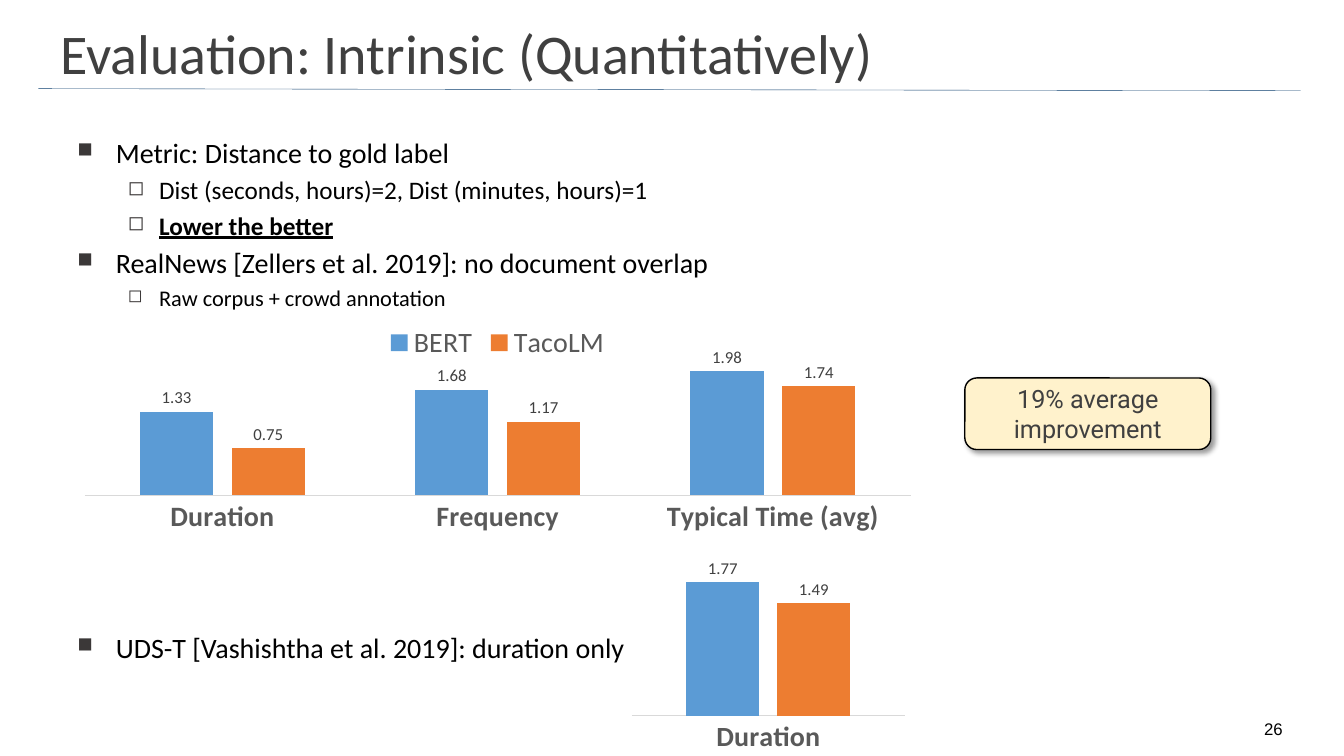
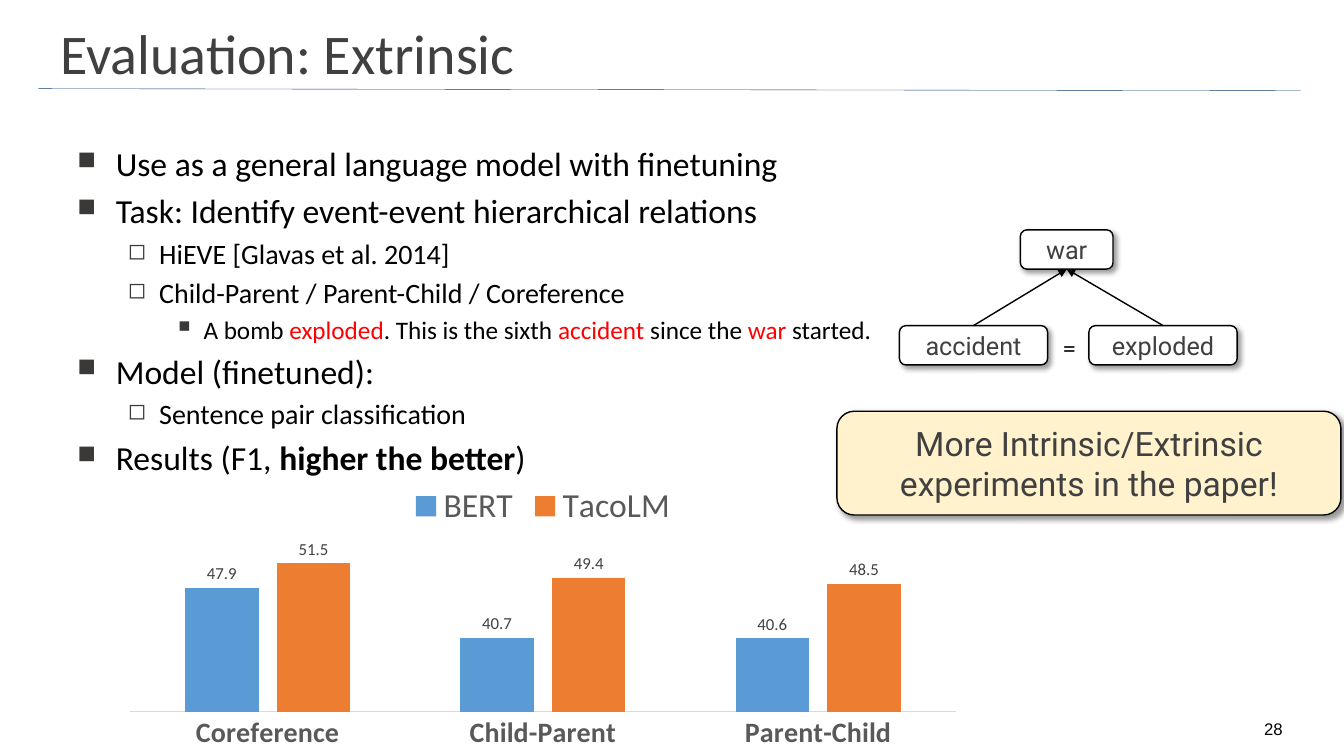
import lxml.etree
import pptx
import pptx.chart.data
import pptx.dml.color
import pptx.enum.chart
import pptx.enum.shapes
import pptx.enum.text
import pptx.oxml
import pptx.oxml.ns
import pptx.util

WIDTH = pptx.util.Inches(13.33)
HEIGHT = pptx.util.Inches(7.5)
TITLE_ONLY_LAYOUT = 5

BLACK, WHITE, RED = "000000", "FFFFFF", "FF0000"
DARK_GRAY, AXIS_GRAY, AXIS_LINE = "404040", "595959", "D9D9D9"
BULLET_GRAY, RULE_BLUE, CREAM = "3B3838", "093D6E", "FFF2CC"
SERIES_COLORS = ("5B9BD5", "ED7D31")

TITLE_FORMAT = {"name": "Calibri", "size": 40, "color": DARK_GRAY}
BODY_FORMAT = {"name": "Calibri", "color": BLACK}
BOX_FORMAT = {"name": "Roboto", "size": 18, "color": DARK_GRAY}
PAGE_FORMAT = {"name": "Arial", "size": 12, "color": BLACK}
CHART_FORMAT = {"name": "Calibri", "size": 10, "color": BLACK}
LABEL_FORMAT = {"name": "Calibri", "size": 12, "color": DARK_GRAY}
CATEGORY_FORMAT = {"name": "Calibri", "size": 20, "bold": True, "color": AXIS_GRAY}
LEGEND_FORMAT = {"name": "Calibri", "color": AXIS_GRAY}

# For each level: left margin and hanging indent in inches, sign, sign size in percent
BULLETS = ((0.38, 0.38, "■", 75), (0.81, 0.31, "◻", 80), (1.25, 0.25, "■", 65))

CENTER = pptx.enum.text.PP_ALIGN.CENTER
MIDDLE = pptx.enum.text.MSO_ANCHOR.MIDDLE
BOTTOM = pptx.enum.text.MSO_ANCHOR.BOTTOM


def across(percent):
    return round(WIDTH * percent / 100)


def down(percent):
    return round(HEIGHT * percent / 100)


def area(left, top, width, height):
    """Turn percentages of the slide into a position and size."""
    return across(left), down(top), across(width), down(height)


def rgb(code):
    return pptx.dml.color.RGBColor.from_string(code)


def format_font(font, values):
    for name, value in values.items():
        if name == "color":
            font.color.rgb = rgb(value)
        else:
            setattr(font, name, pptx.util.Pt(value) if name == "size" else value)


def format_line(line, color, points):
    line.color.rgb = rgb(color)
    line.width = pptx.util.Pt(points)


def add_element(parent, tag, **attributes):
    element = lxml.etree.SubElement(parent, pptx.oxml.ns.qn(tag))
    for name, value in attributes.items():
        element.set(name, str(value))
    return element


def write_text(shape, text, values, anchor=MIDDLE, alignment=CENTER):
    frame = shape.text_frame
    frame.word_wrap = True
    frame.vertical_anchor = anchor
    paragraph = frame.paragraphs[0]
    paragraph.alignment = alignment
    run = paragraph.add_run()
    run.text = text
    format_font(run.font, values)


def add_line(slide, start, end, color, points):
    line = slide.shapes.add_connector(
        pptx.enum.shapes.MSO_CONNECTOR.STRAIGHT,
        across(start[0]), down(start[1]), across(end[0]), down(end[1]))
    format_line(line.line, color, points)
    add_element(line._element.spPr, "a:effectLst")
    return line


def add_slide(presentation, title, number):
    """Add a slide with the shared title, rule and page number."""
    slide = presentation.slides.add_slide(presentation.slide_layouts[TITLE_ONLY_LAYOUT])
    add_line(slide, (2.85, 11.73), (96.77, 12), RULE_BLUE, 0.25)
    heading = slide.shapes.title
    heading.left, heading.top, heading.width, heading.height = area(3.75, 3.07, 81.1, 7.73)
    heading.text_frame.auto_size = pptx.enum.text.MSO_AUTO_SIZE.NONE
    write_text(heading, title, TITLE_FORMAT, alignment=pptx.enum.text.PP_ALIGN.LEFT)
    page = slide.shapes.add_textbox(*area(92.65, 95.07, 4.2, 3.33))
    write_text(page, str(number), PAGE_FORMAT, BOTTOM)
    return slide


def add_bullet(paragraph, level):
    margin, hanging, sign, percent = BULLETS[level]
    properties = paragraph._p.get_or_add_pPr()
    properties.set("marL", str(pptx.util.Inches(margin)))
    properties.set("indent", str(-pptx.util.Inches(hanging)))
    color = add_element(properties, "a:buClr")
    add_element(color, "a:srgbClr", val=BULLET_GRAY)
    add_element(properties, "a:buSzPct", val=percent * 1000)
    add_element(properties, "a:buChar", char=sign)


def add_bullets(slide, place, items):
    """Each item is a level, a text size and runs of (text, extra format)."""
    frame = slide.shapes.add_textbox(*area(*place)).text_frame
    frame.word_wrap = True
    for index, (level, size, *runs) in enumerate(items):
        paragraph = frame.add_paragraph() if index else frame.paragraphs[0]
        paragraph.level = level
        paragraph.space_before = pptx.util.Pt(0.2 * size if index else 0)
        add_bullet(paragraph, level)
        for text, extra in runs:
            run = paragraph.add_run()
            run.text = text
            format_font(run.font, {**BODY_FORMAT, "size": size, **extra})


def add_shadow(shape):
    effects = add_element(shape._element.spPr, "a:effectLst")
    shadow = add_element(effects, "a:outerShdw", blurRad=pptx.util.Pt(4),
                         dist=pptx.util.Pt(3), dir=45 * 60000, algn="tl", rotWithShape=0)
    color = add_element(shadow, "a:srgbClr", val=BLACK)
    add_element(color, "a:alpha", val=40000)


def add_box(slide, place, text, fill=WHITE, size=18):
    box = slide.shapes.add_shape(
        pptx.enum.shapes.MSO_SHAPE.ROUNDED_RECTANGLE, *area(*place))
    box.fill.solid()
    box.fill.fore_color.rgb = rgb(fill)
    format_line(box.line, BLACK, 1)
    add_shadow(box)
    write_text(box, text, {**BOX_FORMAT, "size": size})
    return box


def add_arrow(slide, child, parent):
    """Join the top of the child to the bottom of the parent."""
    arrow = add_line(slide, (0, 0), (0, 0), BLACK, 1)
    arrow.begin_connect(child, 0)
    arrow.end_connect(parent, 2)
    add_element(arrow.line._get_or_add_ln(), "a:tailEnd", type="triangle")


def add_column_chart(slide, place, categories, series, scale, number_format, legend_size=None):
    data = pptx.chart.data.CategoryChartData(number_format=number_format)
    data.categories = categories
    for name, values in series.items():
        data.add_series(name, values)
    chart = slide.shapes.add_chart(
        pptx.enum.chart.XL_CHART_TYPE.COLUMN_CLUSTERED, *area(*place), data).chart
    format_font(chart.font, CHART_FORMAT)
    chart.has_title = False
    chart.has_legend = legend_size is not None
    if chart.has_legend:
        chart.legend.position = pptx.enum.chart.XL_LEGEND_POSITION.TOP
        chart.legend.include_in_layout = False
        format_font(chart.legend.font, {**LEGEND_FORMAT, "size": legend_size})

    chart.value_axis.visible = False
    chart.value_axis.has_major_gridlines = False
    for name, value in scale.items():
        setattr(chart.value_axis, name, value)
    axis = chart.category_axis
    axis.major_tick_mark = pptx.enum.chart.XL_TICK_MARK.NONE
    format_font(axis.tick_labels.font, CATEGORY_FORMAT)
    format_line(axis.format.line, AXIS_LINE, 0.75)

    plot = chart.plots[0]
    plot.gap_width, plot.overlap, plot.vary_by_categories = 150, -25, False
    for columns, color in zip(plot.series, SERIES_COLORS):
        columns.format.fill.solid()
        columns.format.fill.fore_color.rgb = rgb(color)
        labels = columns.data_labels
        labels.show_value = True
        labels.position = pptx.enum.chart.XL_LABEL_POSITION.OUTSIDE_END
        format_font(labels.font, LABEL_FORMAT)


def build_intrinsic(presentation):
    slide = add_slide(presentation, "Evaluation: Intrinsic (Quantitatively)", 26)
    add_bullets(slide, (5.03, 17.33, 90, 24), [
        (0, 20, ("Metric: Distance to gold label", {})),
        (1, 18, ("Dist (seconds, hours)=2, Dist (minutes, hours)=1", {})),
        (1, 18, ("Lower the better", {"bold": True, "underline": True})),
        (0, 20, ("RealNews [Zellers et al. 2019]: no document overlap", {})),
        (1, 16, ("Raw corpus + crowd annotation", {})),
    ])
    add_bullets(slide, (5.03, 82.8, 45, 6), [
        (0, 20, ("UDS-T [Vashishtha et al. 2019]: duration only", {})),
    ])
    scale = {"minimum_scale": 0, "maximum_scale": 2}
    add_column_chart(
        slide, (5.03, 41.33, 64, 29.87), ["Duration", "Frequency", "Typical Time (avg)"],
        {"BERT": (1.33, 1.68, 1.98), "TacoLM": (0.75, 1.17, 1.74)}, scale, "0.00", 20)
    add_column_chart(
        slide, (46.59, 73.87, 21.16, 26.4), ["Duration"],
        {"Series 1": (1.77,), "Series 2": (1.49,)}, scale, "0.00")
    add_box(slide, (71.79, 50, 18.3, 9.47), "19% average improvement", CREAM)


def build_extrinsic(presentation):
    slide = add_slide(presentation, "Evaluation: Extrinsic", 28)
    event = {"color": RED}
    add_bullets(slide, (5.03, 18.27, 90, 46), [
        (0, 24, ("Use as a general language model with finetuning", {})),
        (0, 24, ("Task: Identify event-event hierarchical relations", {})),
        (1, 20, ("HiEVE [Glavas et al. 2014]", {})),
        (1, 20, ("Child-Parent / Parent-Child / Coreference", {})),
        (2, 18, ("A bomb ", {}), ("exploded", event), (". This is the sixth ", {}),
         ("accident", event), (" since the ", {}), ("war", event), (" started.", {})),
        (0, 24, ("Model (finetuned):", {})),
        (1, 20, ("Sentence pair classification", {})),
        (0, 24, ("Results (F1, ", {}), ("higher the better", {"bold": True}), (")", {})),
    ])
    add_column_chart(
        slide, (8.4, 62.4, 64, 37.6), ["Coreference", "Child-Parent", "Parent-Child"],
        {"BERT": (47.9, 40.7, 40.6), "TacoLM": (51.5, 49.4, 48.5)},
        {"minimum_scale": 30}, "0.0", 24)
    add_box(slide, (62.27, 54.4, 37.5, 13.73),
            "More Intrinsic/Extrinsic experiments in the paper!", CREAM, 24)

    children = [add_box(slide, (left, 43.07, 11.03, 5.2), text)
                for left, text in ((66.92, "accident"), (81.02, "exploded"))]
    war = add_box(slide, (75.92, 30.4, 6.9, 5.2), "war")
    for child in children:
        add_arrow(slide, child, war)
    equals = slide.shapes.add_textbox(*area(78.6, 43.33, 1.95, 5.33))
    equals.text_frame.margin_left = equals.text_frame.margin_right = 0
    write_text(equals, "=", {**BODY_FORMAT, "size": 18})


def main():
    presentation = pptx.Presentation()
    presentation.slide_width, presentation.slide_height = WIDTH, HEIGHT
    build_intrinsic(presentation)
    build_extrinsic(presentation)
    presentation.save("out.pptx")


if __name__ == "__main__":
    main()
